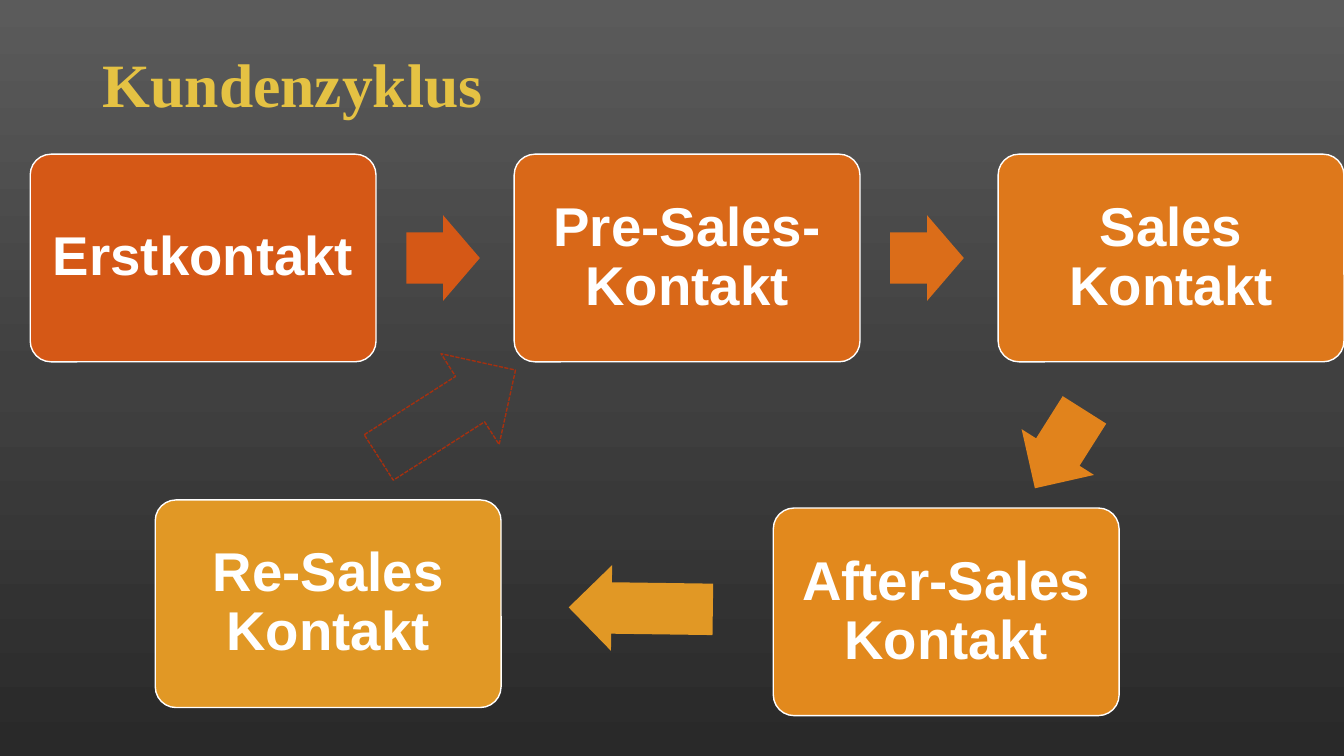
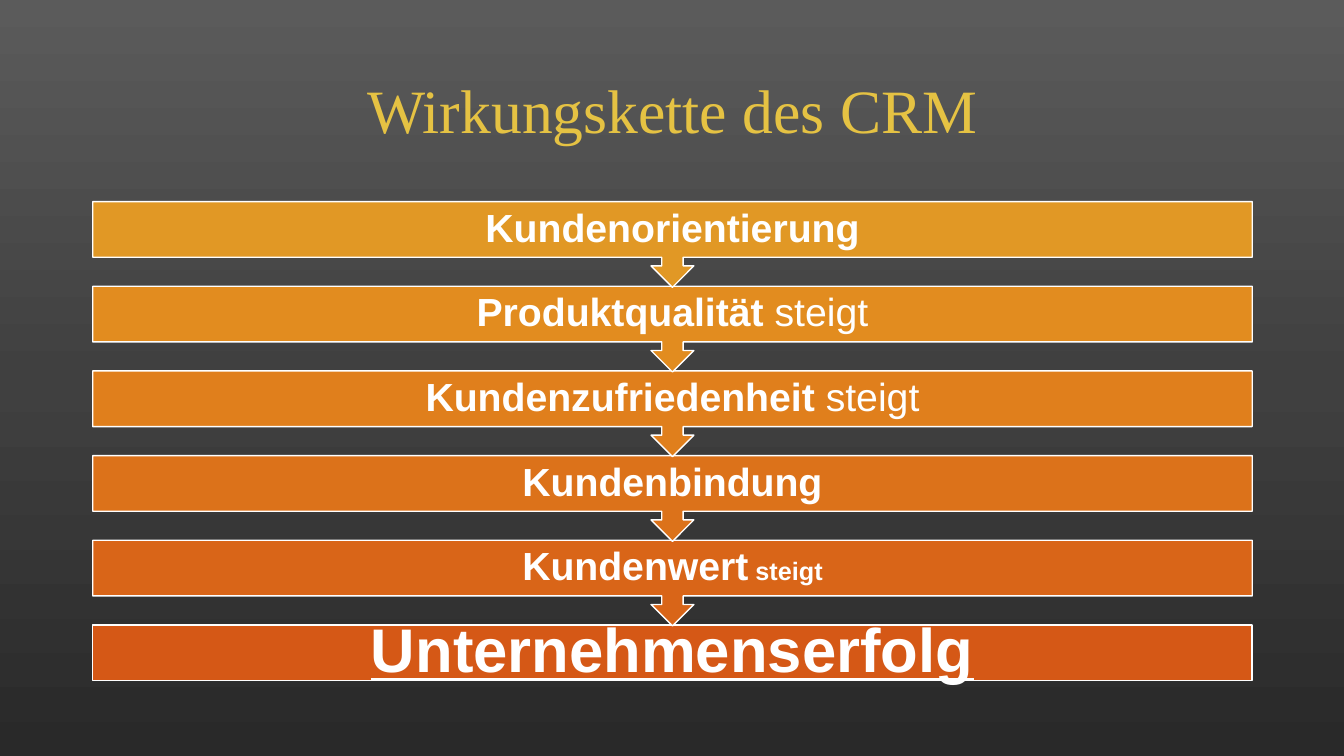
import copy
from dataclasses import dataclass

import pptx
import pptx.dml.color
import pptx.enum.dml
import pptx.enum.shapes
import pptx.enum.text
import pptx.oxml.ns
import pptx.util
from pptx.util import Inches

SHAPE = pptx.enum.shapes.MSO_SHAPE
ALIGN = pptx.enum.text.PP_ALIGN


@dataclass(frozen=True)
class Theme:
    background: tuple = ("5B5B5B", "404040", "292929")
    title: str = "E5C243"
    white: str = "FFFFFF"
    loop: str = "A5300F"
    title_font: str = "Times New Roman"
    body_font: str = "Arial"
    title_size: int = 44
    box_size: int = 39
    step_size: int = 28
    small_size: int = 18
    result_size: int = 44
    line_width: int = 1
    line_spacing: float = 0.9


THEME = Theme()


def rgb(color):
    return pptx.dml.color.RGBColor.from_string(color)


def add_dark_slide(prs):
    """Add a blank slide with the vertical grey gradient."""
    s = prs.slides.add_slide(prs.slide_layouts[6])
    fill = s.background.fill
    fill.gradient()
    fill.gradient_angle = 270
    stops = s.element.find(".//" + pptx.oxml.ns.qn("a:gsLst"))
    stops.insert(1, copy.deepcopy(stops[0]))
    for i, (stop, color) in enumerate(zip(fill.gradient_stops, THEME.background)):
        stop.position = i / 2
        stop.color.rgb = rgb(color)
    return s


def write(sp, runs, font, color, align, inset=0.1):
    """Fill sp with one paragraph of (text, size, bold, underline) runs."""
    tf = sp.text_frame
    tf.word_wrap = True
    tf.vertical_anchor = pptx.enum.text.MSO_ANCHOR.MIDDLE
    tf.margin_left = tf.margin_right = Inches(inset)
    tf.margin_top = tf.margin_bottom = 0
    p = tf.paragraphs[0]
    p.alignment = align
    p.line_spacing = THEME.line_spacing
    for text, size, bold, underline in runs:
        r = p.add_run()
        r.text = text
        r.font.name = font
        r.font.size = pptx.util.Pt(size)
        r.font.bold = bold
        r.font.underline = underline
        r.font.color.rgb = rgb(color)


def add_title(s, text, top, bold, align):
    sp = s.shapes.add_textbox(Inches(0.92), Inches(top), Inches(11.5), Inches(1.45))
    write(sp, [(text, THEME.title_size, bold, False)], THEME.title_font, THEME.title, align)


def add_figure(s, kind, box, fill=None, line=None, adjustments=(), rotation=0):
    sp = s.shapes.add_shape(kind, *(Inches(v) for v in box))
    sp.shadow.inherit = False
    sp.rotation = rotation
    for i, value in enumerate(adjustments):
        sp.adjustments[i] = value
    if fill:
        sp.fill.solid()
        sp.fill.fore_color.rgb = rgb(fill)
    else:
        sp.fill.background()
    if line:
        sp.line.color.rgb = rgb(line)
        sp.line.width = pptx.util.Pt(THEME.line_width)
    else:
        sp.line.fill.background()
    return sp


def add_contact_box(s, text, left, top, width, height, fill):
    sp = add_figure(s, SHAPE.ROUNDED_RECTANGLE, (left, top, width, height),
                    fill, THEME.white, (0.1,))
    write(sp, [(text, THEME.box_size, True, False)], THEME.body_font, THEME.white, ALIGN.CENTER)


def add_cycle_arrow(s, box, fill, rotation=0):
    add_figure(s, SHAPE.RIGHT_ARROW, box, fill, adjustments=(0.6, 0.5), rotation=rotation)


def add_upper_row(s, left, top):
    """Place three contact boxes with an arrow in each gap."""
    width, height, pitch = 3.43, 2.06, 4.8
    arrow_width, arrow_height = 0.73, 0.85
    contacts = [("Erstkontakt", "D55816", "D55816"),
                ("Pre-Sales-Kontakt", "D96818", "DB6D19"),
                ("Sales Kontakt", "DE781B", None)]
    for i, (text, fill, arrow_fill) in enumerate(contacts):
        x = left + i * pitch
        add_contact_box(s, text, x, top, width, height, fill)
        if arrow_fill:
            add_cycle_arrow(s, (x + width + 0.3, top + (height - arrow_height) / 2,
                                arrow_width, arrow_height), arrow_fill)


def add_return_path(s, left, top):
    """Place the lower boxes and the arrows leading back to the upper row."""
    width, height = 3.43, 2.06
    add_cycle_arrow(s, (left + 8.51, top - 0.93, 0.92, 0.85), "E1831C", 122.3)
    add_contact_box(s, "After-Sales Kontakt", left + 6.13, top + 0.08, width, height, "E2891D")
    add_cycle_arrow(s, (left + 4.1, top + 0.65, 1.43, 0.85), "E19825", 180.8)
    add_contact_box(s, "Re-Sales Kontakt", left, top, width, height, "E19825")
    loop = add_figure(s, SHAPE.RIGHT_ARROW, (left + 2.09, top - 1.39, 1.61, 1.07),
                      line=THEME.loop, rotation=327.4)
    loop.line.dash_style = pptx.enum.dml.MSO_LINE.SQUARE_DOT


def add_effect_chain(s, left, top, width):
    """Stack the steps, each pointing down to the next, lowest at the back."""
    pitch, step_height, bar_height = 0.84, 0.85, 0.55
    size = THEME.step_size
    rises = (" steigt", size, False, False)
    steps = [("E19825", [("Kundenorientierung", size, True, False)]),
             ("E28C1F", [("Produktqualität", size, True, False), rises]),
             ("E07F1C", [("Kundenzufriedenheit", size, True, False), rises]),
             ("DC721A", [("Kundenbindung", size, True, False)]),
             ("D96518", [("Kundenwert", size, True, False),
                         (" ", THEME.small_size, False, False),
                         ("steigt", THEME.small_size, True, False)]),
             ("D55816", [("Unternehmenserfolg", THEME.result_size, True, True)])]
    last = len(steps) - 1
    for i, (fill, runs) in reversed(list(enumerate(steps))):
        kind = SHAPE.RECTANGLE if i == last else SHAPE.DOWN_ARROW_CALLOUT
        height = bar_height if i == last else step_height
        sp = add_figure(s, kind, (left, top + i * pitch, width, height), fill, THEME.white)
        write(sp, runs, THEME.body_font, THEME.white, ALIGN.CENTER, 0.22)


def build_cycle_slide(prs):
    s = add_dark_slide(prs)
    add_title(s, "Kundenzyklus", 0.14, True, ALIGN.LEFT)
    add_upper_row(s, 0.3, 1.53)
    add_return_path(s, 1.54, 4.96)


def build_chain_slide(prs):
    s = add_dark_slide(prs)
    add_title(s, "Wirkungskette des CRM", 0.4, False, ALIGN.CENTER)
    add_effect_chain(s, 0.92, 2, 11.5)


def main():
    prs = pptx.Presentation()
    prs.slide_width, prs.slide_height = Inches(13.33), Inches(7.5)
    build_cycle_slide(prs)
    build_chain_slide(prs)
    prs.save("out.pptx")


if __name__ == "__main__":
    main()
